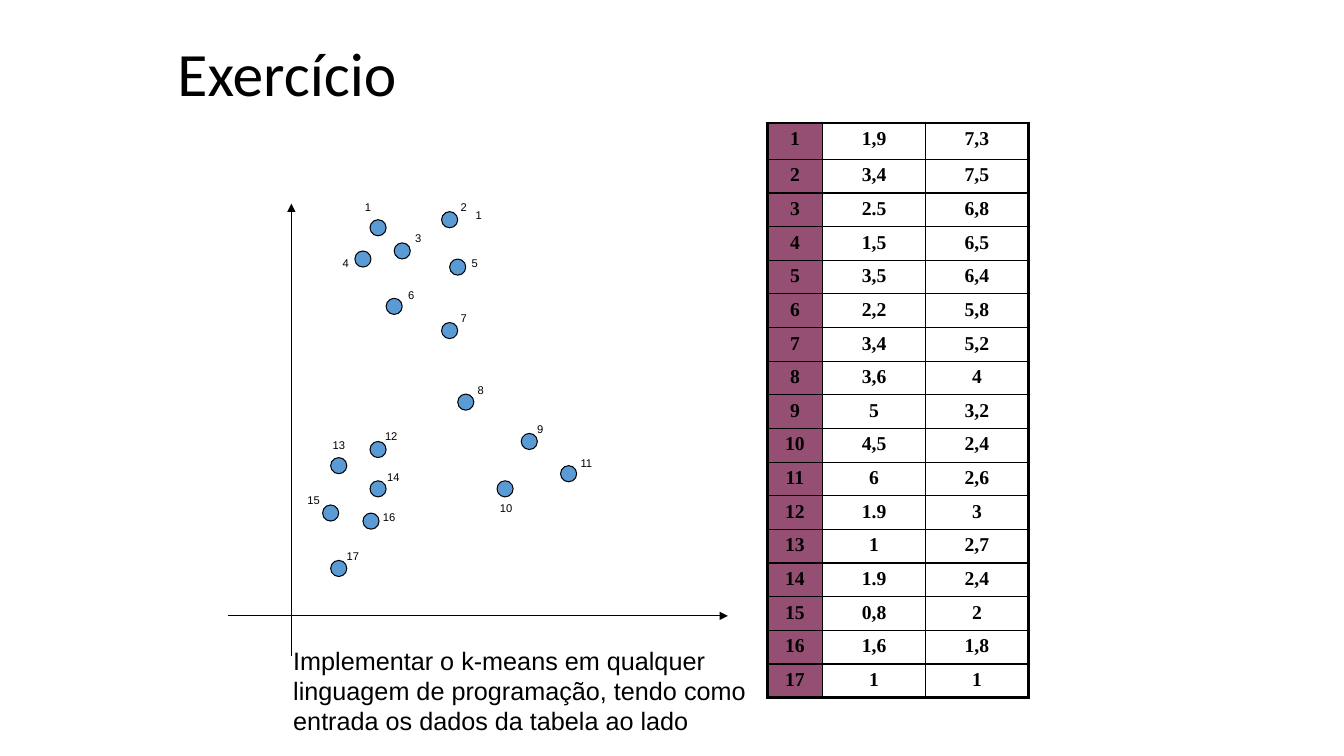
from lxml import etree
from pptx import Presentation
from pptx.dml.color import RGBColor
from pptx.enum.shapes import MSO_CONNECTOR, MSO_SHAPE
from pptx.enum.text import MSO_ANCHOR, MSO_AUTO_SIZE, PP_ALIGN
from pptx.oxml.ns import qn
from pptx.util import Inches, Pt

STRAIGHT = MSO_CONNECTOR.STRAIGHT
OVAL = MSO_SHAPE.OVAL
MIDDLE = MSO_ANCHOR.MIDDLE
FIT = MSO_AUTO_SIZE.SHAPE_TO_FIT_TEXT
LEFT, CENTER = PP_ALIGN.LEFT, PP_ALIGN.CENTER

COLORS = {"black": "000000", "dot": "5B9BD5", "index": "954F72"}
DOT = 0.16
THIN, THICK = 1, 2.25

POINTS = [
    ("1,9", "7,3", 3.67, 2.18, 3.52, 1.94),
    ("3,4", "7,5", 4.38, 2.10, 4.47, 1.94),
    ("2.5", "6,8", 3.91, 2.41, 4.02, 2.25),
    ("1,5", "6,5", 3.52, 2.49, 3.30, 2.49),
    ("3,5", "6,4", 4.46, 2.57, 4.58, 2.49),
    ("2,2", "5,8", 3.83, 2.96, 3.95, 2.81),
    ("3,4", "5,2", 4.38, 3.20, 4.47, 3.04),
    ("3,6", "4", 4.54, 3.91, 4.64, 3.75),
    ("5", "3,2", 5.17, 4.30, 5.23, 4.14),
    ("4,5", "2,4", 4.93, 4.77, 4.86, 4.92),
    ("6", "2,6", 5.56, 4.62, 5.66, 4.48),
    ("1.9", "3", 3.67, 4.38, 3.72, 4.21),
    ("1", "2,7", 3.28, 4.54, 3.20, 4.30),
    ("1.9", "2,4", 3.67, 4.77, 3.74, 4.62),
    ("0,8", "2", 3.20, 5.01, 2.95, 4.85),
    ("1,6", "1,8", 3.60, 5.09, 3.70, 5.01),
    ("1", "1", 3.28, 5.56, 3.34, 5.40),
]


def style_text(tf, size, font, bold=False):
    for p in tf.paragraphs:
        for r in p.runs:
            r.font.size = Pt(size)
            r.font.name = font
            r.font.bold = bold
            r.font.color.rgb = RGBColor.from_string(COLORS["black"])


def add_text(x, y, w, h, text, size, wrap=True):
    tf = slide.shapes.add_textbox(Inches(x), Inches(y), Inches(w), Inches(h)).text_frame
    tf.text = text
    tf.word_wrap = wrap
    tf.auto_size = FIT
    style_text(tf, size, "Arial")


prs = Presentation()
prs.slide_width, prs.slide_height = Inches(13.33), Inches(7.5)
slide = prs.slides.add_slide(prs.slide_layouts[5])

title = slide.shapes.title
title.left, title.top, title.width, title.height = Inches(1.66), Inches(0.13), Inches(9), Inches(1.25)
tf = title.text_frame
tf.text = "Exercício"
tf.vertical_anchor = MIDDLE
tf.paragraphs[0].alignment = LEFT
tf.paragraphs[0].line_spacing = 0.9
style_text(tf, 44, "Calibri")

for x1, y1, x2, y2 in [(2.89, 6.51, 2.89, 2.02), (2.26, 6.11, 7.22, 6.11)]:
    axis = slide.shapes.add_connector(STRAIGHT, Inches(x1), Inches(y1), Inches(x2), Inches(y2))
    axis.line.width = Pt(0.75)
    axis.line.color.rgb = RGBColor.from_string(COLORS["black"])
    etree.SubElement(axis.line._get_or_add_ln(), qn("a:tailEnd"), type="triangle")
    etree.SubElement(axis._element.spPr, qn("a:effectLst"))

for _, _, x, y, _, _ in POINTS:
    dot = slide.shapes.add_shape(OVAL, Inches(x), Inches(y), Inches(DOT), Inches(DOT))
    dot.shadow.inherit = False
    dot.fill.solid()
    dot.fill.fore_color.rgb = RGBColor.from_string(COLORS["dot"])
    dot.line.color.rgb = RGBColor.from_string(COLORS["black"])
    dot.line.width = Pt(0.75)

for number, (_, _, _, _, x, y) in enumerate(POINTS, 1):
    add_text(x, y, 0.26 if number < 10 else 0.39, 0.23, str(number), 8)
add_text(4.62, 2.02, 0.2, 0.23, "1", 8)

last = len(POINTS) - 1
table = slide.shapes.add_table(len(POINTS), 3, Inches(7.61), Inches(1.22), Inches(2.6), Inches(5.69)).table
table.first_row = table.horz_banding = False
for column, width in zip(table.columns, (0.55, 1.02, 1.02)):
    column.width = Inches(width)

for i, point in enumerate(POINTS):
    table.rows[i].height = Inches(0.33 if i else 0.36)
    for j, text in enumerate((str(i + 1), point[0], point[1])):
        cell = table.cell(i, j)
        tf = cell.text_frame
        tf.text = text
        p = tf.paragraphs[0]
        p.alignment = CENTER
        before = etree.SubElement(p._p.get_or_add_pPr(), qn("a:spcBef"))
        etree.SubElement(before, qn("a:spcPct"), val="20000")
        style_text(tf, 14, "Times New Roman", True)
        tcPr = cell._tc.get_or_add_tcPr()
        outer_edges = {"L": j == 0, "R": j == 2, "T": i == 0, "B": i == last}
        for side, outer in outer_edges.items():
            width = Pt(THICK if outer else THIN)
            ln = etree.SubElement(tcPr, qn("a:ln" + side), w=str(width))
            fill = etree.SubElement(ln, qn("a:solidFill"))
            etree.SubElement(fill, qn("a:srgbClr"), val=COLORS["black"])
        if j == 0:
            cell.fill.solid()
            cell.fill.fore_color.rgb = RGBColor.from_string(COLORS["index"])
        else:
            cell.fill.background()

add_text(2.81, 6.35, 4.82, 1.01,
         "Implementar o k-means em qualquer\n"
         "linguagem de programação, tendo como\n"
         "entrada os dados da tabela ao lado", 18, wrap=False)

prs.save("out.pptx")
